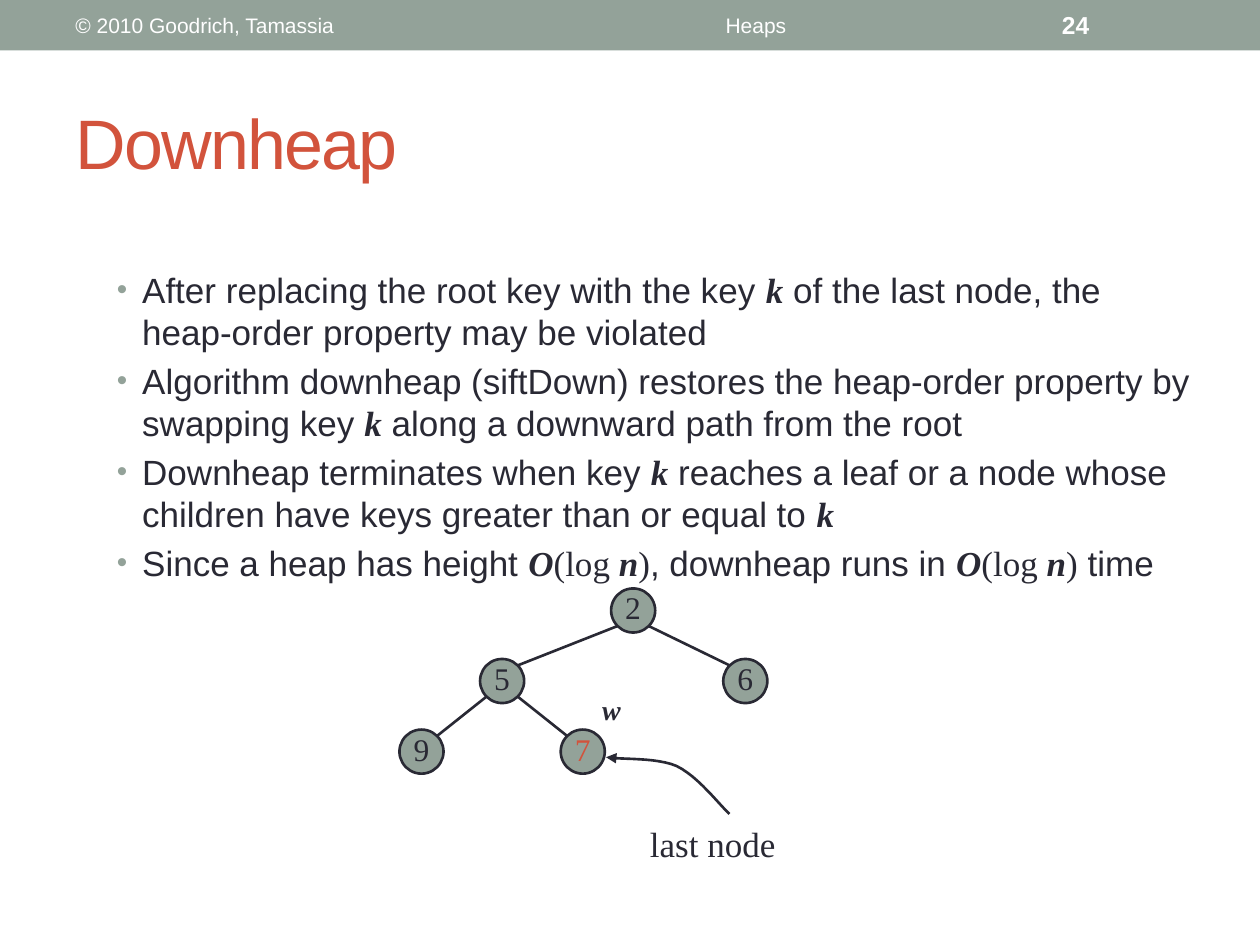
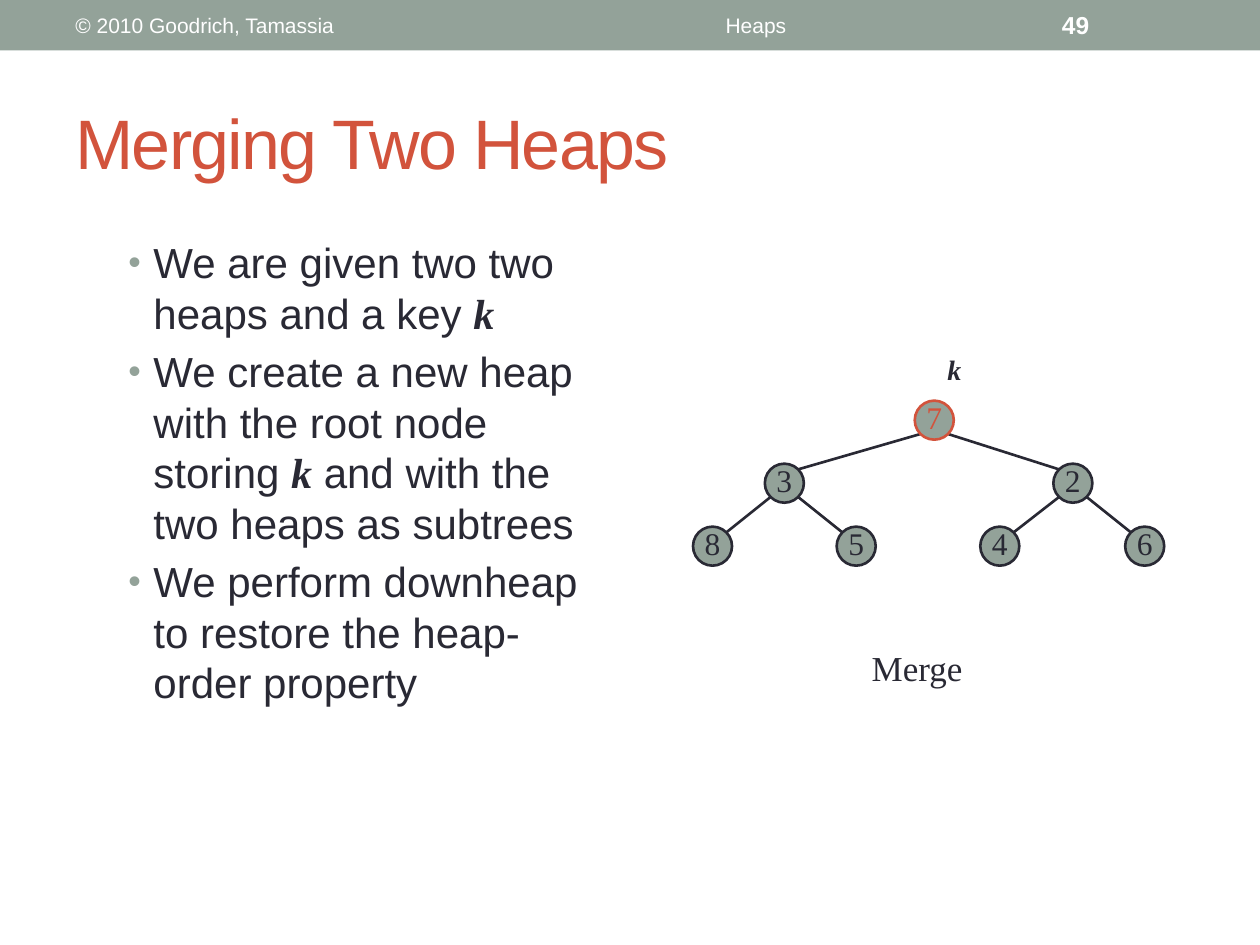
import math

import lxml.etree
import pptx
import pptx.dml.color
import pptx.enum.shapes
import pptx.enum.text
import pptx.oxml.ns
import pptx.util
from pptx.util import Inches

# ---- Shared look ----
COLORS = {"band": "93A299", "accent": "D2533C", "ink": "292934", "white": "FFFFFF"}
SANS, SERIF = "Arial", "Times New Roman"
COPYRIGHT, TOPIC = "© 2010 Goodrich, Tamassia", "Heaps"

# ---- Content: plain strings are sans text, tuples are (text, is_variable) formulas ----
K = ("k", True)
O_LOG_N = [("O", True), ("(log ", False), ("n", True), (")", False)]

# Heaps are listed level by level: (key, left edge); children of i are 2i+1 and 2i+2
SLIDES = [
    {
        "page": "24",
        "title": "Downheap",
        "body_at": (0.83, 2.08, 8.75, 2.67),
        "body_size": 20,
        "bullets": [
            ["After replacing the root key with the key ", K,
             " of the last node, the heap-order property may be violated"],
            ["Algorithm downheap (siftDown) restores the heap-order property by swapping key ",
             K, " along a downward path from the root"],
            ["Downheap terminates when key ", K,
             " reaches a leaf or a node whose children have keys greater than or equal to ", K],
            ["Since a heap has height ", *O_LOG_N, ", downheap runs in ", *O_LOG_N, " time"],
        ],
        "heap": [("2", 4.85), ("5", 3.81), ("6", 5.74), ("9", 3.17), ("7", 4.45)],
        "heap_top": 4.67,
        "level_gap": 0.56,
        "diameter": 0.35,
        "key_color": {"7": "accent"},
        "outline_color": {},
        "labels": [("last node", (5.06, 6.48, 1.32, 0.43), 20, False),
                   ("w", (4.68, 5.45, 0.42, 0.5), 16, True)],
        # Bezier pieces, each starting where the one before ends
        "pointer": [[(5.79, 6.46), (5.72, 6.4), (5.54, 6.16), (5.37, 6.08)],
                    [(5.37, 6.08), (5.21, 6.01), (4.93, 6.03), (4.81, 6.01)]],
    },
    {
        "page": "49",
        "title": "Merging Two Heaps",
        "body_at": (0.92, 1.83, 4, 4.5),
        "body_size": 24,
        "bullets": [
            ["We are given two two heaps and a key ", K],
            ["We create a new heap with the root node storing ", K,
             " and with the two heaps as subtrees"],
            ["We perform downheap to restore the heap-order property"],
        ],
        "heap": [("7", 7.26), ("3", 6.07), ("2", 8.36),
                 ("8", 5.5), ("5", 6.64), ("4", 7.78), ("6", 8.93)],
        "heap_top": 3.18,
        "level_gap": 0.5,
        "diameter": 0.31,
        "key_color": {"7": "accent"},
        "outline_color": {"7": "accent"},
        "labels": [("k", (7.42, 2.75, 0.33, 0.37), 16, True),
                   ("Merge", (6.82, 5.08, 0.93, 0.44), 20, False)],
        "pointer": [],
    },
]


# ---- Helpers ----
def rgb(name):
    return pptx.dml.color.RGBColor.from_string(COLORS[name])


def add_xml(parent, tag, **attributes):
    return lxml.etree.SubElement(parent, pptx.oxml.ns.qn(tag), attributes)


def style(run, size, color, font=SANS, bold=False, italic=False):
    run.font.size = pptx.util.Pt(size)
    run.font.color.rgb = rgb(color)
    run.font.name = font
    run.font.bold, run.font.italic = bold, italic


def add_text(slide, at, text, size, color, middle=True, wrap=True, align="LEFT", **look):
    box = slide.shapes.add_textbox(*map(Inches, at))
    frame = box.text_frame
    frame.word_wrap = wrap
    if not wrap:
        frame.auto_size = pptx.enum.text.MSO_AUTO_SIZE.SHAPE_TO_FIT_TEXT
    if middle:
        frame.vertical_anchor = pptx.enum.text.MSO_ANCHOR.MIDDLE
    frame.text = text
    paragraph = frame.paragraphs[0]
    paragraph.alignment = pptx.enum.text.PP_ALIGN[align]
    style(paragraph.runs[0], size, color, **look)
    return paragraph.runs[0]


def outline(shape, color="ink"):
    shape.line.color.rgb = rgb(color)
    shape.line.width = pptx.util.Pt(1.5)


def add_header(slide, page, title):
    band = slide.shapes.add_shape(pptx.enum.shapes.MSO_SHAPE.RECTANGLE,
                                  0, 0, Inches(10), Inches(0.4))
    band.shadow.inherit = False
    band.fill.solid()
    band.fill.fore_color.rgb = rgb("band")
    band.line.fill.background()
    add_text(slide, (0.5, 0.02, 3.17, 0.36), COPYRIGHT, 12, "white")
    add_text(slide, (3.75, 0.02, 4.5, 0.36), TOPIC, 12, "white", align="CENTER")
    add_text(slide, (8.33, 0.02, 1.17, 0.36), page, 14, "white", bold=True)
    heading = add_text(slide, (0.5, 0.58, 9, 1.08), title, 40, "accent")
    heading.font._element.set("spc", "-100")


def add_bullets(slide, at, bullets, size):
    frame = slide.shapes.add_textbox(*map(Inches, at)).text_frame
    frame.word_wrap = True
    for index, pieces in enumerate(bullets):
        paragraph = frame.add_paragraph() if index else frame.paragraphs[0]
        if index:
            paragraph.space_before = pptx.util.Pt(size * 0.2)
        properties = paragraph._p.get_or_add_pPr()
        properties.set("marL", str(Inches(0.2)))
        properties.set("indent", str(-Inches(0.2)))
        add_xml(add_xml(properties, "a:buClr"), "a:srgbClr", val=COLORS["band"])
        add_xml(properties, "a:buSzPct", val="85000")
        add_xml(properties, "a:buFont", typeface=SANS)
        add_xml(properties, "a:buChar", char="•")
        for piece in pieces:
            run = paragraph.add_run()
            if isinstance(piece, str):
                run.text = piece
                style(run, size, "ink")
            else:
                run.text, variable = piece
                style(run, size, "ink", SERIF, variable, variable)


def add_edge(slide, start, end):
    edge = slide.shapes.add_connector(pptx.enum.shapes.MSO_CONNECTOR.STRAIGHT,
                                      *map(Inches, (*start, *end)))
    outline(edge)
    add_xml(edge._element.spPr, "a:effectLst")


def add_node(slide, key, left, top, diameter, key_color, outline_color):
    node = slide.shapes.add_shape(pptx.enum.shapes.MSO_SHAPE.OVAL,
                                  *map(Inches, (left, top, diameter, diameter)))
    node.shadow.inherit = False
    node.fill.solid()
    node.fill.fore_color.rgb = rgb("band")
    outline(node, outline_color)
    frame = node.text_frame
    frame.margin_left = frame.margin_right = frame.margin_top = 0
    frame.margin_bottom = Inches(0.05)
    frame.word_wrap = False
    frame.vertical_anchor = pptx.enum.text.MSO_ANCHOR.MIDDLE
    frame.text = key
    frame.paragraphs[0].alignment = pptx.enum.text.PP_ALIGN.CENTER
    style(frame.paragraphs[0].runs[0], 18, key_color, SERIF)


def add_heap(slide, content):
    diameter = content["diameter"]
    radius = diameter / 2
    reach = radius * math.sqrt(0.5)  # edges meet the circles at 45 degrees
    places = [(left, content["heap_top"] + int(math.log2(index + 1)) * content["level_gap"])
              for index, (_, left) in enumerate(content["heap"])]
    for child in range(1, len(places)):
        parent_x, parent_y = (value + radius for value in places[(child - 1) // 2])
        child_x, child_y = (value + radius for value in places[child])
        side = math.copysign(reach, child_x - parent_x)
        add_edge(slide, (parent_x + side, parent_y + reach), (child_x - side, child_y - reach))
    for (key, _), (left, top) in zip(content["heap"], places):
        add_node(slide, key, left, top, diameter, content["key_color"].get(key, "ink"),
                 content["outline_color"].get(key, "ink"))


def bezier_point(controls, t):
    weights = [math.comb(3, i) * t ** i * (1 - t) ** (3 - i) for i in range(4)]
    return tuple(Inches(sum(w * point[axis] for w, point in zip(weights, controls)))
                 for axis in (0, 1))


def add_pointer(slide, curves, steps=12):
    points = [bezier_point(curve, step / steps)
              for curve in curves for step in range(1, steps + 1)]
    builder = slide.shapes.build_freeform(*map(Inches, curves[0][0]))
    builder.add_line_segments(points, close=False)
    pointer = builder.convert_to_shape()
    pointer.shadow.inherit = False
    pointer.fill.background()
    outline(pointer)
    add_xml(pointer.line._get_or_add_ln(), "a:tailEnd", type="triangle")


# ---- Build ----
def main():
    deck = pptx.Presentation()
    deck.slide_width, deck.slide_height = Inches(10), Inches(7.5)
    for content in SLIDES:
        slide = deck.slides.add_slide(deck.slide_layouts[6])
        add_header(slide, content["page"], content["title"])
        add_bullets(slide, content["body_at"], content["bullets"], content["body_size"])
        add_heap(slide, content)
        if content["pointer"]:
            add_pointer(slide, content["pointer"])
        for text, at, size, variable in content["labels"]:
            add_text(slide, at, text, size, "ink", middle=False, wrap=False,
                     font=SERIF, bold=variable, italic=variable)
    deck.save("out.pptx")


if __name__ == "__main__":
    main()
